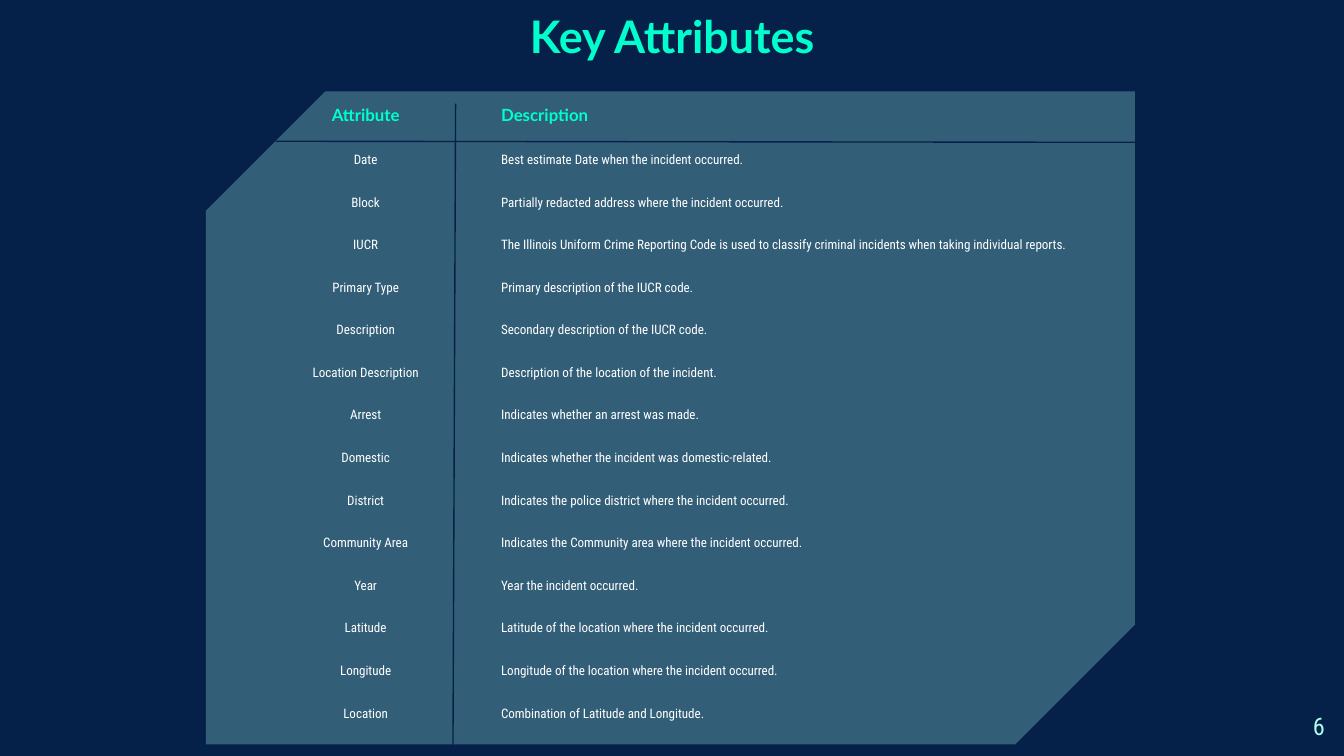
from pptx import Presentation
from pptx.dml.color import RGBColor
from pptx.enum.shapes import MSO_CONNECTOR as Connector, MSO_SHAPE as Shape
from pptx.enum.text import MSO_ANCHOR as Anchor, PP_ALIGN as Align
from pptx.oxml.ns import qn
from pptx.util import Cm, Pt
from lxml.etree import SubElement

NAVY = RGBColor(0x05, 0x21, 0x4A)
GREEN = RGBColor(0x00, 0xFF, 0xCD)
PALE = RGBColor(0xAA, 0xFF, 0xEE)
WHITE = RGBColor(0xFF, 0xFF, 0xFF)

TITLE = {"name": "Lato", "size": Pt(24), "bold": True}
HEADER = {"name": "Lato", "size": Pt(9), "bold": True}
BODY = {"name": "Roboto Condensed", "size": Pt(7), "bold": False}
NUMBER = {"name": "Roboto Condensed", "size": Pt(13), "bold": False}
NO_STYLE_NO_GRID = "{2D5ABB26-0587-4C30-8999-92F81FD0307C}"

ROWS = [
    ("Attribute", "Description"),
    ("Date", "Best estimate Date when the incident occurred."),
    ("Block", "Partially redacted address where the incident occurred."),
    ("IUCR", "The Illinois Uniform Crime Reporting Code is used to classify "
             "criminal incidents when taking individual reports."),
    ("Primary Type", "Primary description of the IUCR code."),
    ("Description", "Secondary description of the IUCR code."),
    ("Location Description", "Description of the location of the incident."),
    ("Arrest", "Indicates whether an arrest was made."),
    ("Domestic", "Indicates whether the incident was domestic-related."),
    ("District", "Indicates the police district where the incident occurred."),
    ("Community Area", "Indicates the Community area where the incident occurred."),
    ("Year", "Year the incident occurred."),
    ("Latitude", "Latitude of the location where the incident occurred."),
    ("Longitude", "Longitude of the location where the incident occurred."),
    ("Location", "Combination of Latitude and Longitude."),
]


def write(frame, text, font_values, color, alignment):
    paragraph = frame.paragraphs[0]
    paragraph.alignment = alignment
    run = paragraph.add_run()
    run.text = text
    for attribute, value in font_values.items():
        setattr(run.font, attribute, value)
    run.font.color.rgb = color


def add_text(box, text, font_values, color, alignment, anchor):
    frame = slide.shapes.add_textbox(*map(Cm, box)).text_frame
    frame.word_wrap = True
    frame.vertical_anchor = anchor
    for side in ("left", "right", "top", "bottom"):
        setattr(frame, f"margin_{side}", Cm(0.25))
    write(frame, text, font_values, color, alignment)


presentation = Presentation()
presentation.slide_width, presentation.slide_height = Cm(25.4), Cm(14.29)
slide = presentation.slides.add_slide(presentation.slide_layouts[6])
slide.background.fill.solid()
slide.background.fill.fore_color.rgb = NAVY

# Title
add_text((5.46, -0.08, 14.48, 1.83), "Key Attributes", TITLE, GREEN,
         Align.CENTER, Anchor.TOP)

# Translucent panel with two cut corners
panel = slide.shapes.add_shape(Shape.SNIP_2_DIAG_RECTANGLE,
                               Cm(3.89), Cm(1.73), Cm(17.56), Cm(12.34))
panel.adjustments[0], panel.adjustments[1] = 0.183, 0
panel.shadow.inherit = False
panel.line.fill.background()
panel.fill.solid()
panel.fill.fore_color.rgb = PALE
panel_color = panel.fill._xPr.find(qn("a:solidFill"))[0]
SubElement(panel_color, qn("a:alpha"), val="28000")

# Attribute table
header_height, body_height = Cm(0.89), Cm(11.27)
table_frame = slide.shapes.add_table(len(ROWS), 2, Cm(4.6), Cm(1.73),
                                     Cm(16.2), header_height + body_height)
table = table_frame.table
table.first_row = table.horz_banding = False
table._tbl.tblPr.find(qn("a:tableStyleId")).text = NO_STYLE_NO_GRID
for column, width in zip(table.columns, (4.62, 11.58)):
    column.width = Cm(width)

for row_index, texts in enumerate(ROWS):
    is_header = row_index == 0
    table.rows[row_index].height = (
        header_height if is_header else body_height // (len(ROWS) - 1))
    font_values, color = (HEADER, GREEN) if is_header else (BODY, WHITE)
    for column_index, text in enumerate(texts):
        cell = table.cell(row_index, column_index)
        cell.fill.background()
        cell.vertical_anchor = Anchor.MIDDLE
        for side in ("left", "right", "top", "bottom"):
            setattr(cell, f"margin_{side}", Cm(0.25))
        write(cell.text_frame, text, font_values, color,
              (Align.CENTER, Align.LEFT)[column_index])

# Rules under the header and between the columns
for ends in ((5.21, 2.67, 21.51, 2.69), (8.61, 1.96, 8.56, 14.27)):
    rule = slide.shapes.add_connector(Connector.STRAIGHT, *map(Cm, ends))
    rule.line.color.rgb = NAVY
    rule.line.width = Pt(0.75)
    SubElement(rule._element.spPr, qn("a:effectLst"))

# Slide number
add_text((23.77, 13.18, 1.52, 1.09), "6", NUMBER, PALE,
         Align.RIGHT, Anchor.MIDDLE)

presentation.save("out.pptx")
